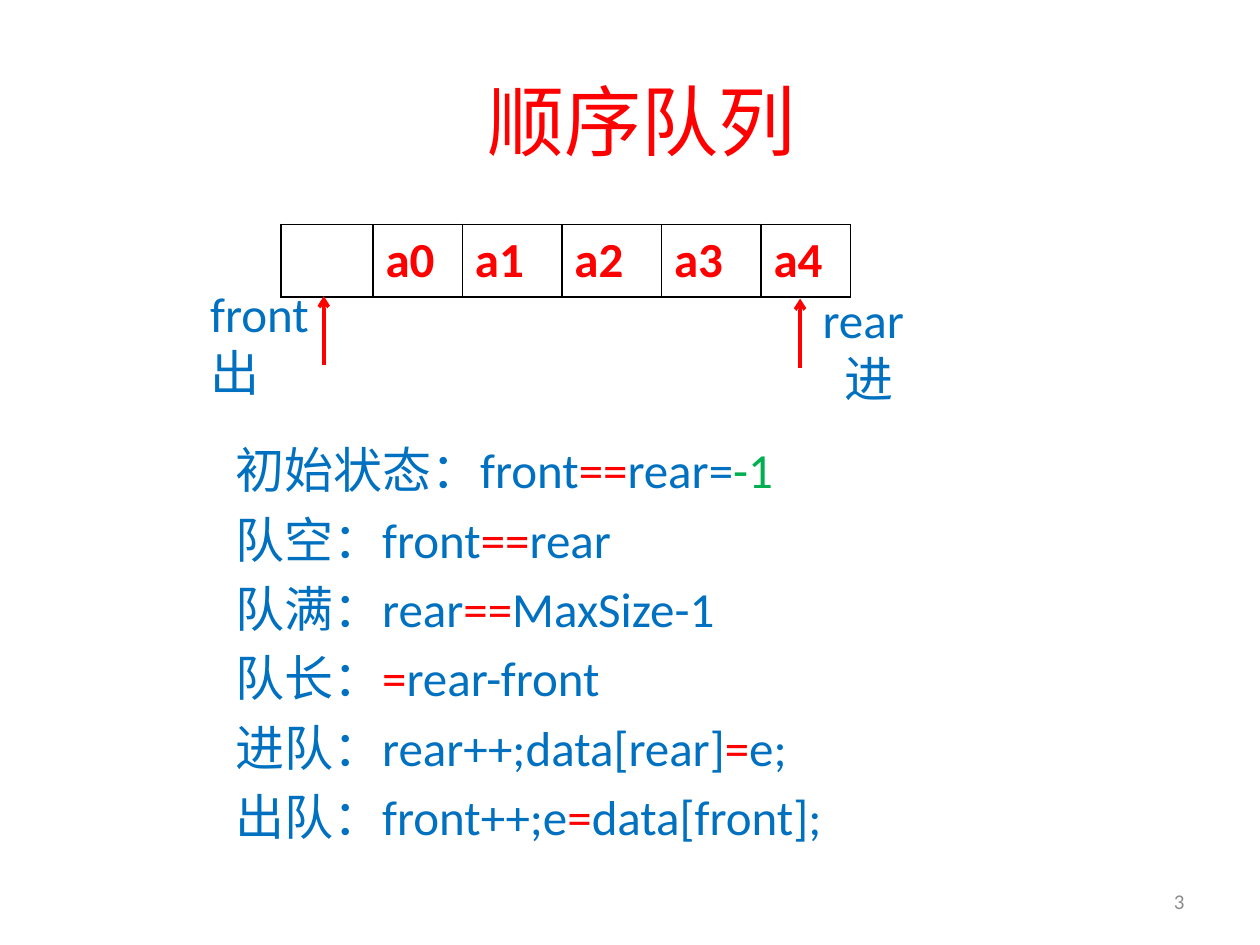
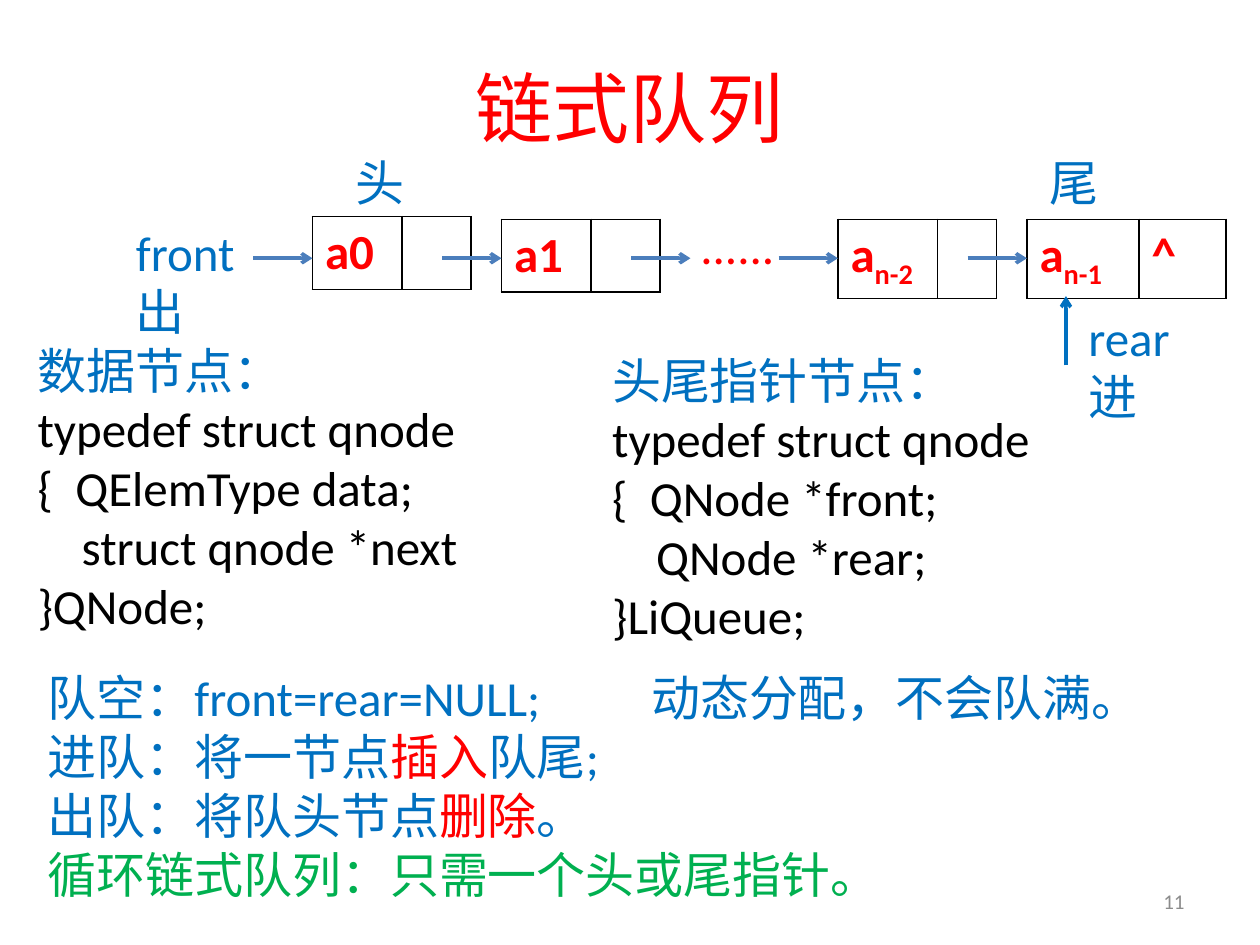
"""Two slides on queues: the sequential queue and the linked queue."""
from dataclasses import dataclass

from lxml import etree
from pptx import Presentation
from pptx.dml.color import RGBColor
from pptx.enum.shapes import MSO_CONNECTOR
from pptx.enum.text import MSO_ANCHOR, MSO_AUTO_SIZE, PP_ALIGN
from pptx.oxml.ns import qn
from pptx.util import Inches, Pt

LEFT, CENTER, RIGHT = PP_ALIGN.LEFT, PP_ALIGN.CENTER, PP_ALIGN.RIGHT
TOP, MIDDLE = MSO_ANCHOR.TOP, MSO_ANCHOR.MIDDLE
FIT_SHAPE, FIT_NONE = MSO_AUTO_SIZE.SHAPE_TO_FIT_TEXT, MSO_AUTO_SIZE.NONE
STRAIGHT = MSO_CONNECTOR.STRAIGHT

RED, BLUE, GREEN, BLACK = "FF0000", "0070C0", "00B050", "000000"
GRAY, ARROW_BLUE = "8C8C8C", "4B7EBC"
LATIN, CHINESE = "Calibri", "Noto Sans CJK SC"
BODY_SIZE = 28
ROW_HEIGHT = 0.57
NUMBER_BOX = (7.17, 6.95, 2.33, 0.4)


@dataclass
class Para:
    """A paragraph: (text, colour) runs, left indent and tab stop in inches."""
    runs: list
    indent: float = 0
    tab: float = 0


def color(hex_value):
    """Turn a hex string into a colour."""
    return RGBColor.from_string(hex_value)


def line_of(text, hex_value=BLUE, **layout):
    """Make a paragraph with a single run."""
    return Para([(text, hex_value)], **layout)


def add_run(para, text, hex_value, size=BODY_SIZE, bold=False):
    """Add one run with its Latin and Chinese fonts."""
    span = para.add_run()
    span.text = text
    span.font.size = Pt(size)
    span.font.bold = bold
    span.font.color.rgb = color(hex_value)
    span.font.name = LATIN if any(char.isascii() for char in text) else CHINESE
    properties = span.font._element
    etree.SubElement(properties, qn("a:ea")).set("typeface", CHINESE)
    return span


def add_text(page, box, paras, size=BODY_SIZE, align=LEFT, anchor=TOP,
             wrap=False, after=0, inset=0.05):
    """Place a text box; without wrapping it fits its text."""
    shape = page.shapes.add_textbox(*map(Inches, box))
    frame = shape.text_frame
    frame.word_wrap = wrap
    frame.auto_size = FIT_NONE if wrap else FIT_SHAPE
    frame.vertical_anchor = anchor
    frame.margin_top = frame.margin_bottom = Inches(inset)
    for index, source in enumerate(paras):
        para = frame.add_paragraph() if index else frame.paragraphs[0]
        para.alignment = align
        para.space_after = Pt(after)
        properties = para._p.get_or_add_pPr()
        if source.indent:
            properties.set("marL", str(Inches(source.indent)))
        if source.tab:
            stops = etree.SubElement(properties, qn("a:tabLst"))
            stop = etree.SubElement(stops, qn("a:tab"))
            stop.set("pos", str(Inches(source.tab)))
            stop.set("algn", "l")
        for text, hex_value in source.runs:
            add_run(para, text, hex_value, size)


def add_arrow(page, start, end, hex_value):
    """Draw a straight line with an open arrowhead at its end."""
    arrow = page.shapes.add_connector(STRAIGHT, *map(Inches, start + end))
    arrow.line.color.rgb = color(hex_value)
    arrow.line.width = Pt(2)
    head = etree.SubElement(arrow.line._get_or_add_ln(), qn("a:tailEnd"))
    head.set("type", "arrow")
    etree.SubElement(arrow._element.spPr, qn("a:effectLst"))


def add_border(cell):
    """Give a cell a thin black border on all sides."""
    properties = cell._tc.get_or_add_tcPr()
    for side in ("lnL", "lnR", "lnT", "lnB"):
        edge = etree.SubElement(properties, qn("a:" + side), w=str(Pt(1)))
        fill = etree.SubElement(edge, qn("a:solidFill"))
        etree.SubElement(fill, qn("a:srgbClr"), val=BLACK)


def add_cells(page, left, top, widths, labels):
    """Draw a one-row table; a label is (text, subscript)."""
    frame = page.shapes.add_table(1, len(widths), Inches(left), Inches(top),
                                  Inches(sum(widths)), Inches(ROW_HEIGHT))
    table = frame.table
    table.first_row = table.horz_banding = False
    table.rows[0].height = Inches(ROW_HEIGHT)
    for index, (width, (text, subscript)) in enumerate(zip(widths, labels)):
        table.columns[index].width = Inches(width)
        cell = table.cell(0, index)
        add_border(cell)
        cell.fill.background()
        para = cell.text_frame.paragraphs[0]
        if text:
            add_run(para, text, RED, bold=True)
        if subscript:
            span = add_run(para, subscript, RED, bold=True)
            span.font._element.set("baseline", "-25000")


def add_page(deck, title, title_box, number):
    """Add a blank slide with its title and slide number."""
    page = deck.slides.add_slide(deck.slide_layouts[6])
    add_text(page, title_box, [line_of(title, RED)], 44, CENTER, MIDDLE, True)
    add_text(page, NUMBER_BOX, [line_of(number, GRAY)], 12, RIGHT, MIDDLE, True)
    return page


def add_array(page, left, top):
    """Draw the array of the sequential queue with front and rear."""
    labels = [("", "")] + [(f"a{index}", "") for index in range(5)]
    add_cells(page, left, top, [0.73, 0.71, 0.79, 0.79, 0.79, 0.71], labels)
    bottom = top + ROW_HEIGHT
    for offset, drop in ((0.34, 0), (4.12, 0.02)):
        x, y = left + offset, bottom + drop
        add_arrow(page, (x, y + 0.55), (x, y), RED)
    add_text(page, (left - 0.66, top + 0.47, 0.99, 0.94),
             [line_of("front"), line_of("出")], inset=0)
    add_text(page, (left + 4.2, top + 0.47, 0.85, 1.04),
             [line_of("rear"), line_of("进", indent=0.17)])


def add_array_rules(page, box):
    """List the states and operations of the sequential queue."""
    rules = [
        [("初始状态：", BLUE), ("front", BLUE), ("==", RED), ("rear=", BLUE),
         ("-1", GREEN)],
        [("队空：front", BLUE), ("==", RED), ("rear", BLUE)],
        [("队满：rear", BLUE), ("==", RED), ("MaxSize-1", BLUE)],
        [("队长：", BLUE), ("=", RED), ("rear-front", BLUE)],
        [("进队：rear++;data[rear]", BLUE), ("=", RED), ("e;", BLUE)],
        [("出队：front++;e", BLUE), ("=", RED), ("data[front];", BLUE)],
    ]
    add_text(page, box, [Para(runs) for runs in rules], wrap=True, after=6)


def add_chain(page, left, top):
    """Draw the linked nodes with their arrows and end labels."""
    step, reach = 1.5, 0.47
    second, third, last = left + step, left + 4.17, left + 4.17 + step
    add_cells(page, left, top - 0.02, [0.71, 0.55], [("a0", ""), ("", "")])
    add_cells(page, second, top, [0.71, 0.55], [("a1", ""), ("", "")])
    add_cells(page, third, top, [0.79, 0.47], [("a", "n-2"), ("", "")])
    add_cells(page, last, top, [0.89, 0.69], [("a", "n-1"), ("^", "")])
    middle = top + 0.31
    for end in (left, second, second + step, third, last):
        add_arrow(page, (end - reach, middle), (end, middle), ARROW_BLUE)
    add_text(page, (second + step - 0.02, top - 0.08, 0.8, 0.57),
             [line_of("......", RED)])
    for text, x in (("头", left + 0.24), ("尾", last + 0.08)):
        add_text(page, (x, top - 0.58, 0.59, 0.57), [line_of(text)])
    add_text(page, (left - step, top - 0.02, 0.99, 1.04),
             [line_of("front"), line_of("出")])
    rear = last + 0.31
    add_arrow(page, (rear, top + 1.16), (rear, top + 0.61), BLUE)
    add_text(page, (rear + 0.08, top + 0.65, 0.85, 1.04),
             [line_of("rear"), line_of("进")])


def add_struct(page, left, top, heading, members, name):
    """Show the definition of a struct with two members."""
    first, second = members
    add_text(page, (left, top, 3.78, 2.46), [
        line_of(heading),
        line_of("typedef struct qnode", BLACK),
        line_of("{\t" + first, BLACK, tab=0.3),
        line_of(second, BLACK, indent=0.35),
        line_of("}" + name + ";", BLACK),
    ], wrap=True)


def add_chain_rules(page, box):
    """List the states and operations of the linked queue."""
    add_text(page, box, [
        line_of("队空：front=rear=NULL;\t动态分配，不会队满。", tab=4.79),
        Para([("进队：将一节点", BLUE), ("插入", RED), ("队尾;", BLUE)]),
        Para([("出队：将队头节点", BLUE), ("删除", RED), ("。", BLUE)]),
        line_of("循环链式队列：只需一个头或尾指针。", GREEN),
    ])


def build_sequential(deck):
    """Build the slide on the sequential queue."""
    page = add_page(deck, "顺序队列", (0.59, 0.44, 9, 1.02), "3")
    add_array(page, 2.23, 1.78)
    add_array_rules(page, (1.77, 3.44, 5.41, 3.35))


def build_linked(deck):
    """Build the slide on the linked queue."""
    page = add_page(deck, "链式队列", (0.5, 0.3, 9, 1.09), "11")
    add_chain(page, 2.48, 1.74)
    add_struct(page, 0.2, 2.65, "数据节点：",
               ("QElemType data;", "struct qnode *next"), "QNode")
    add_struct(page, 4.76, 2.73, "头尾指针节点：",
               ("QNode *front;", "QNode *rear;"), "LiQueue")
    add_chain_rules(page, (0.28, 5.25, 8.8, 1.99))


deck = Presentation()
deck.slide_width, deck.slide_height = Inches(10), Inches(7.5)
build_sequential(deck)
build_linked(deck)
deck.save("out.pptx")
